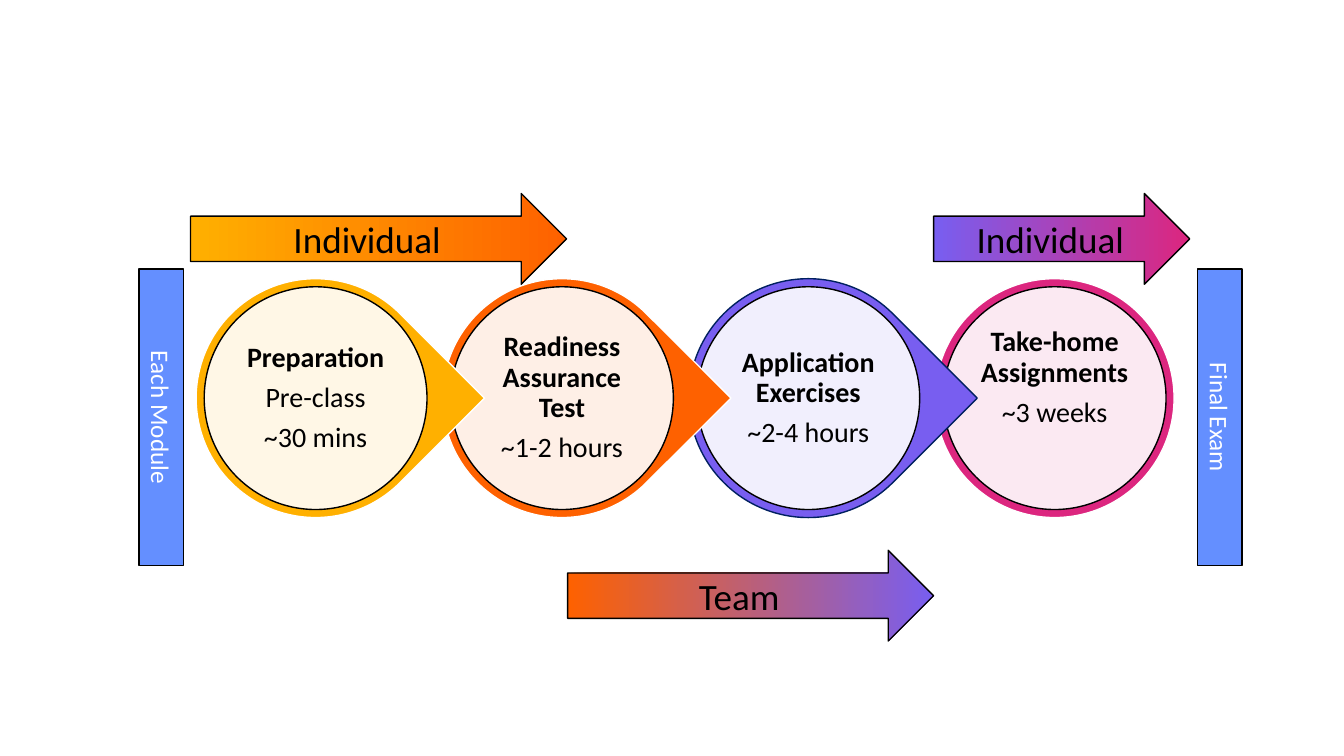
import pptx
import pptx.util
import pptx.dml.color
import pptx.enum.shapes
import pptx.enum.text
import lxml.etree

Inches, Pt = pptx.util.Inches, pptx.util.Pt
KIND = pptx.enum.shapes.MSO_SHAPE

# Content
FONT = "Calibri"
GOLD, ORANGE, VIOLET, PINK, BLUE = "FFB000", "FE6100", "785EF0", "DC267F", "648FFF"
BLACK, WHITE = "000000", "FFFFFF"

# title, details, colour, edge, shape, space below the text
STAGES = [
    ("Preparation", ["Pre-class", "~30 mins"], GOLD, WHITE, KIND.TEAR, 0.03),
    ("Readiness Assurance Test", ["~1-2 hours"], ORANGE, WHITE, KIND.TEAR, 0.03),
    ("Application Exercises", ["~2-4 hours"], VIOLET, "002060", KIND.TEAR, 0.03),
    ("Take-home Assignments", ["~3 weeks"], PINK, WHITE, KIND.OVAL, 0.43),
]
# text, left, top, width, from colour, to colour
ARROWS = [
    ("Individual", 1.89, 1.92, 3.73, GOLD, ORANGE),
    ("Team", 5.63, 5.46, 3.63, ORANGE, VIOLET),
    ("Individual", 9.26, 1.92, 2.54, VIOLET, PINK),
]
# text, left
BARS = [("Each Module", 1.38), ("Final Exam", 11.88)]

# Layout
FIRST, LAST, MIDDLE = 3.13, 10.46, 3.95
STEP = (LAST - FIRST) / (len(STAGES) - 1)
RING, DISC, LABEL = 2.37, 2.21, 1.58
ARROW_H, BAR_TOP, BAR_W, BAR_H = 0.9, 2.67, 0.44, 2.94


def rgb(code):
    return pptx.dml.color.RGBColor.from_string(code)


def write(frame, lines, size, color=BLACK, bold_first=False, after=0, spacing=None):
    frame.word_wrap = True
    frame.vertical_anchor = pptx.enum.text.MSO_ANCHOR.MIDDLE
    for i, line in enumerate(lines):
        para = frame.paragraphs[0] if i == 0 else frame.add_paragraph()
        para.alignment = pptx.enum.text.PP_ALIGN.CENTER
        para.space_after = Pt(after)
        if spacing:
            para.line_spacing = spacing
        run = para.add_run()
        run.text = line
        run.font.name, run.font.size = FONT, Pt(size)
        run.font.bold = bold_first and i == 0
        run.font.color.rgb = rgb(color)


def draw(shapes, kind, left, top, width, height, fill, edge=BLACK):
    shape = shapes.add_shape(kind, Inches(left), Inches(top), Inches(width), Inches(height))
    shape.shadow.inherit = False
    if isinstance(fill, tuple):
        shape.fill.gradient()
        shape.fill.gradient_angle = 0
        for stop, code in zip(shape.fill.gradient_stops, fill):
            stop.color.rgb = rgb(code)
    else:
        shape.fill.solid()
        shape.fill.fore_color.rgb = rgb(fill)
    shape.line.color.rgb = rgb(edge)
    shape.line.width = Pt(1)
    return shape


def fade(shape, percent):
    color = shape.fill._xPr.find(".//" + pptx.oxml.ns.qn("a:srgbClr"))
    alpha = lxml.etree.SubElement(color, pptx.oxml.ns.qn("a:alpha"))
    alpha.set("val", str(percent * 1000))


def stage(shapes, mid, title, details, color, edge, kind, below):
    def box(size):
        return mid - size / 2, MIDDLE - size / 2, size, size

    ring = draw(shapes, kind, *box(RING), color, edge)
    if kind == KIND.TEAR:
        ring.adjustments[0] = 1
        ring.rotation = 45
    fade(draw(shapes, KIND.OVAL, *box(DISC), WHITE), 90)
    frame = shapes.add_textbox(*map(Inches, box(LABEL))).text_frame
    frame.margin_left = frame.margin_right = frame.margin_top = Inches(0.03)
    frame.margin_bottom = Inches(below)
    write(frame, [title, *details], 20, bold_first=True, after=7, spacing=0.9)


def main():
    deck = pptx.Presentation()
    deck.slide_width, deck.slide_height = Inches(13.33), Inches(7.5)
    slide = deck.slides.add_slide(deck.slide_layouts[6])

    # Stages, the last one at the back
    group = slide.shapes.add_group_shape()
    for i, item in reversed(list(enumerate(STAGES))):
        stage(group.shapes, FIRST + i * STEP, *item)

    # Arrows
    for text, left, top, width, start, end in ARROWS:
        arrow = draw(slide.shapes, KIND.RIGHT_ARROW, left, top, width, ARROW_H, (start, end))
        write(arrow.text_frame, [text], 26.5)

    # Side bars with turned text
    for text, left in BARS:
        bar = draw(slide.shapes, KIND.RECTANGLE, left, BAR_TOP, BAR_W, BAR_H, BLUE)
        write(bar.text_frame, [text], 18, color=WHITE)
        bar.text_frame._txBody.bodyPr.set("vert", "vert")

    deck.save("out.pptx")


if __name__ == "__main__":
    main()
